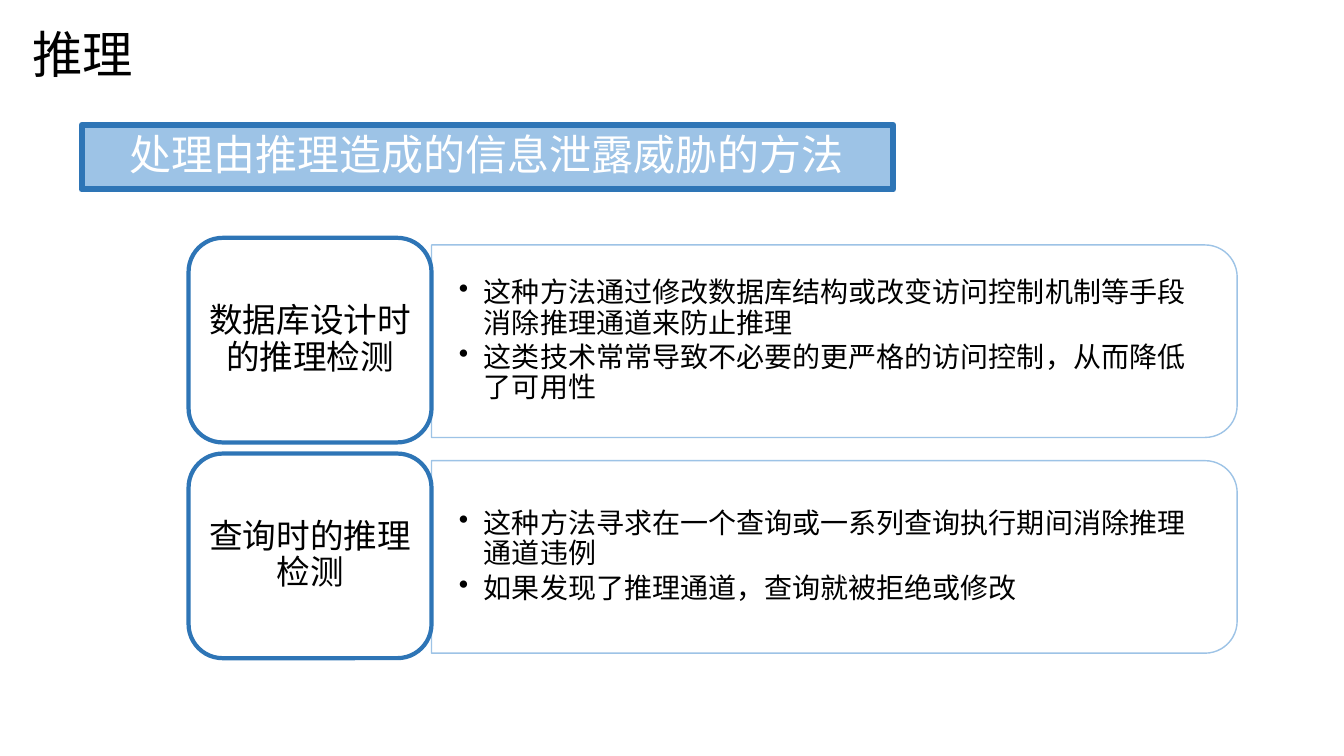
"""Build a slide on two methods of handling inference threats in databases."""
import lxml.etree
import pptx
import pptx.dml.color
import pptx.enum.shapes
import pptx.enum.text
import pptx.oxml.ns
import pptx.util
from dataclasses import dataclass

Inches = pptx.util.Inches
Pt = pptx.util.Pt
Shapes = pptx.enum.shapes.MSO_SHAPE
Align = pptx.enum.text.PP_ALIGN
qn = pptx.oxml.ns.qn

TITLE = "推理"
BANNER = "处理由推理造成的信息泄露威胁的方法"
METHODS = [
    ("数据库设计时的推理检测", [
        "这种方法通过修改数据库结构或改变访问控制机制等手段消除推理通道来防止推理",
        "这类技术常常导致不必要的更严格的访问控制，从而降低了可用性",
    ]),
    ("查询时的推理检测", [
        "这种方法寻求在一个查询或一系列查询执行期间消除推理通道违例",
        "如果发现了推理通道，查询就被拒绝或修改",
    ]),
]


@dataclass(frozen=True)
class Theme:
    """Colours, fonts and type sizes of the slide."""
    black: str = "000000"
    white: str = "FFFFFF"
    light_blue: str = "9DC3E6"
    dark_blue: str = "2E75B6"
    chinese: str = "Noto Sans CJK SC"
    latin: str = "Times New Roman"
    title: int = 36
    banner: int = 30
    label: int = 24
    bullet: int = 20


THEME = Theme()
LABEL_LEFT, LABEL_TOP, LABEL_WIDTH, LABEL_HEIGHT = 1.87, 2.36, 2.41, 2.03
ROW_PITCH = 2.14
PANEL_WIDTH, PANEL_HEIGHT = 7.99, 1.91
BULLET_WIDTH, BULLET_HEIGHT = 7.89, 1.72


def rgb(color):
    """Return a colour object for a hex string."""
    return pptx.dml.color.RGBColor.from_string(color)


def add_box(slide, kind, left, top, width, height, line, line_width, fill=None):
    """Add an outlined preset shape."""
    shape = slide.shapes.add_shape(
        kind, Inches(left), Inches(top), Inches(width), Inches(height))
    shape.shadow.inherit = False
    if fill:
        shape.fill.solid()
        shape.fill.fore_color.rgb = rgb(fill)
    else:
        shape.fill.background()
    shape.line.color.rgb = rgb(line)
    shape.line.width = Pt(line_width)
    return shape


def write(shape, texts, size, color, margins, align=Align.LEFT, latin=THEME.chinese,
          spacing=0.9, after=0.35, bullets=False):
    """Write paragraphs into a shape, centred vertically."""
    frame = shape.text_frame
    frame.auto_size = pptx.enum.text.MSO_AUTO_SIZE.NONE
    frame.word_wrap = True
    frame.vertical_anchor = pptx.enum.text.MSO_ANCHOR.MIDDLE
    frame.margin_left = frame.margin_right = Inches(margins[0])
    frame.margin_top = frame.margin_bottom = Inches(margins[1])
    for index, text in enumerate(texts):
        paragraph = frame.add_paragraph() if index else frame.paragraphs[0]
        paragraph.alignment = align
        paragraph.line_spacing = spacing
        paragraph.space_before = Pt(0)
        paragraph.space_after = Pt(round(size * after))
        if bullets:
            properties = paragraph._p.get_or_add_pPr()
            properties.set("marL", str(Inches(0.25)))
            properties.set("indent", str(Inches(-0.25)))
            lxml.etree.SubElement(properties, qn("a:buChar"), char="•")
        run = paragraph.add_run()
        run.text = text
        run.font.size = Pt(size)
        run.font.color.rgb = rgb(color)
        run.font.name = latin
        lxml.etree.SubElement(run.font._element, qn("a:ea"), typeface=THEME.chinese)


def add_title(slide):
    """Place and fill the title placeholder."""
    title = slide.shapes.title
    title.left, title.top = Inches(0.21), Inches(0)
    title.width, title.height = Inches(7.43), Inches(1.06)
    write(title, [TITLE], THEME.title, THEME.black, (0.11, 0.06), spacing=1.0, after=0)


def add_banner(slide):
    """Add the blue heading bar."""
    banner = add_box(slide, Shapes.RECTANGLE, 0.81, 1.24, 8.05, 0.64,
                     THEME.dark_blue, 4.33, THEME.light_blue)
    lxml.etree.SubElement(banner._element.spPr.find(qn("a:ln")), qn("a:round"))
    write(banner, [BANNER], THEME.banner, THEME.white, (0.47, 0))


def add_method(slide, row, label, points):
    """Add one method: its panel, bullet points and label."""
    top = LABEL_TOP + row * ROW_PITCH
    middle = top + LABEL_HEIGHT / 2 + 0.01
    panel_left = LABEL_LEFT + LABEL_WIDTH
    panel = add_box(slide, Shapes.ROUND_2_SAME_RECTANGLE,
                    panel_left + (PANEL_WIDTH - PANEL_HEIGHT) / 2,
                    middle - PANEL_WIDTH / 2, PANEL_HEIGHT, PANEL_WIDTH,
                    THEME.light_blue, 1, THEME.white)
    panel.rotation = 90
    fill_color = panel._element.spPr.find(qn("a:solidFill"))[0]
    lxml.etree.SubElement(fill_color, qn("a:alpha"), val="90000")

    bullets = slide.shapes.add_textbox(
        Inches(panel_left), Inches(middle - BULLET_HEIGHT / 2),
        Inches(BULLET_WIDTH), Inches(BULLET_HEIGHT))
    write(bullets, points, THEME.bullet, THEME.black, (0.27, 0.14),
          latin=THEME.latin, after=0.15, bullets=True)

    box = add_box(slide, Shapes.ROUNDED_RECTANGLE, LABEL_LEFT, top,
                  LABEL_WIDTH, LABEL_HEIGHT, THEME.dark_blue, 3)
    write(box, [label], THEME.label, THEME.black, (0.08, 0.05), Align.CENTER)


def main():
    """Create and save the presentation."""
    presentation = pptx.Presentation()
    presentation.slide_width = Inches(13.33)
    presentation.slide_height = Inches(7.5)
    slide = presentation.slides.add_slide(presentation.slide_layouts[5])
    add_title(slide)
    add_banner(slide)
    for row, (label, points) in enumerate(METHODS):
        add_method(slide, row, label, points)
    presentation.save("out.pptx")


if __name__ == "__main__":
    main()
